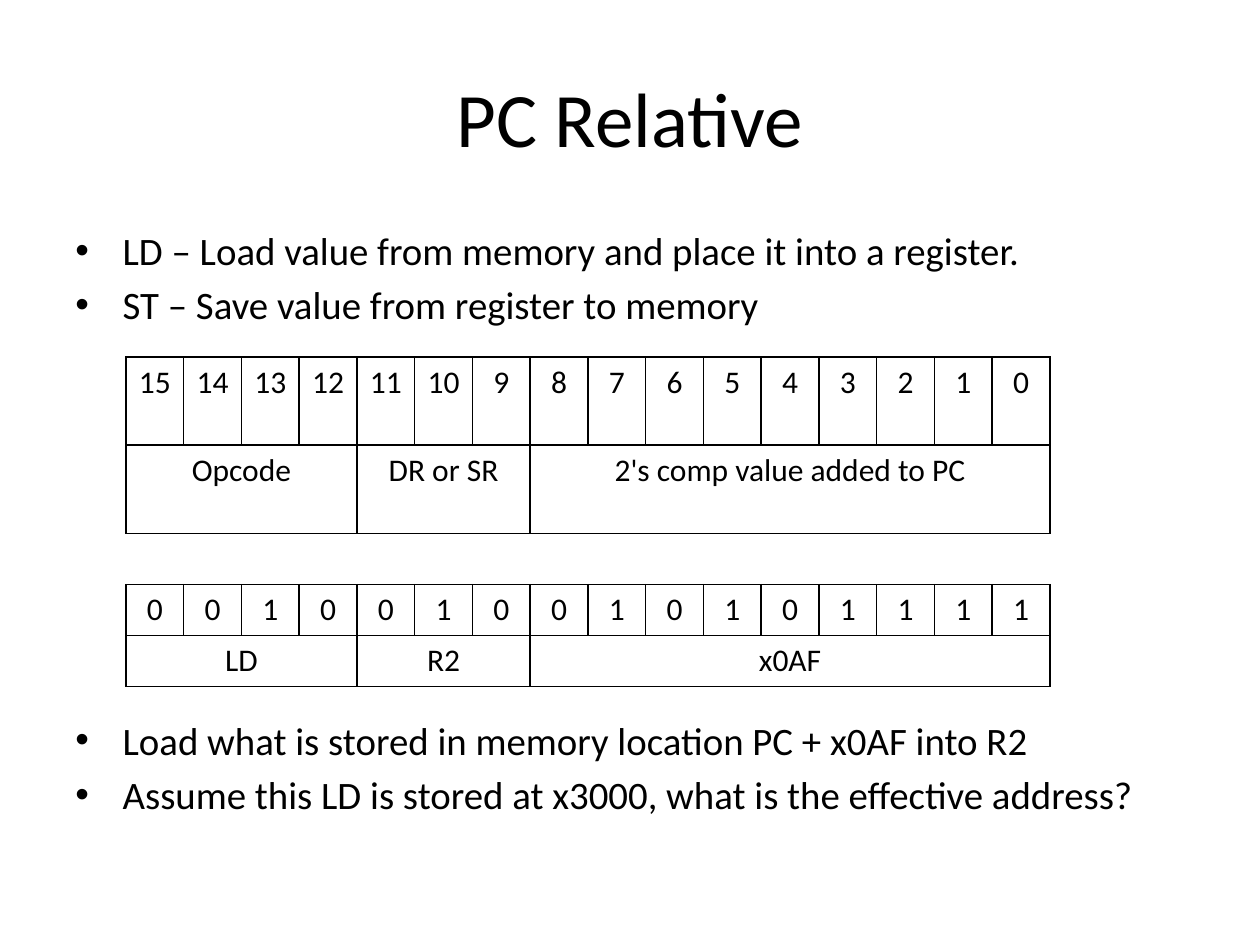
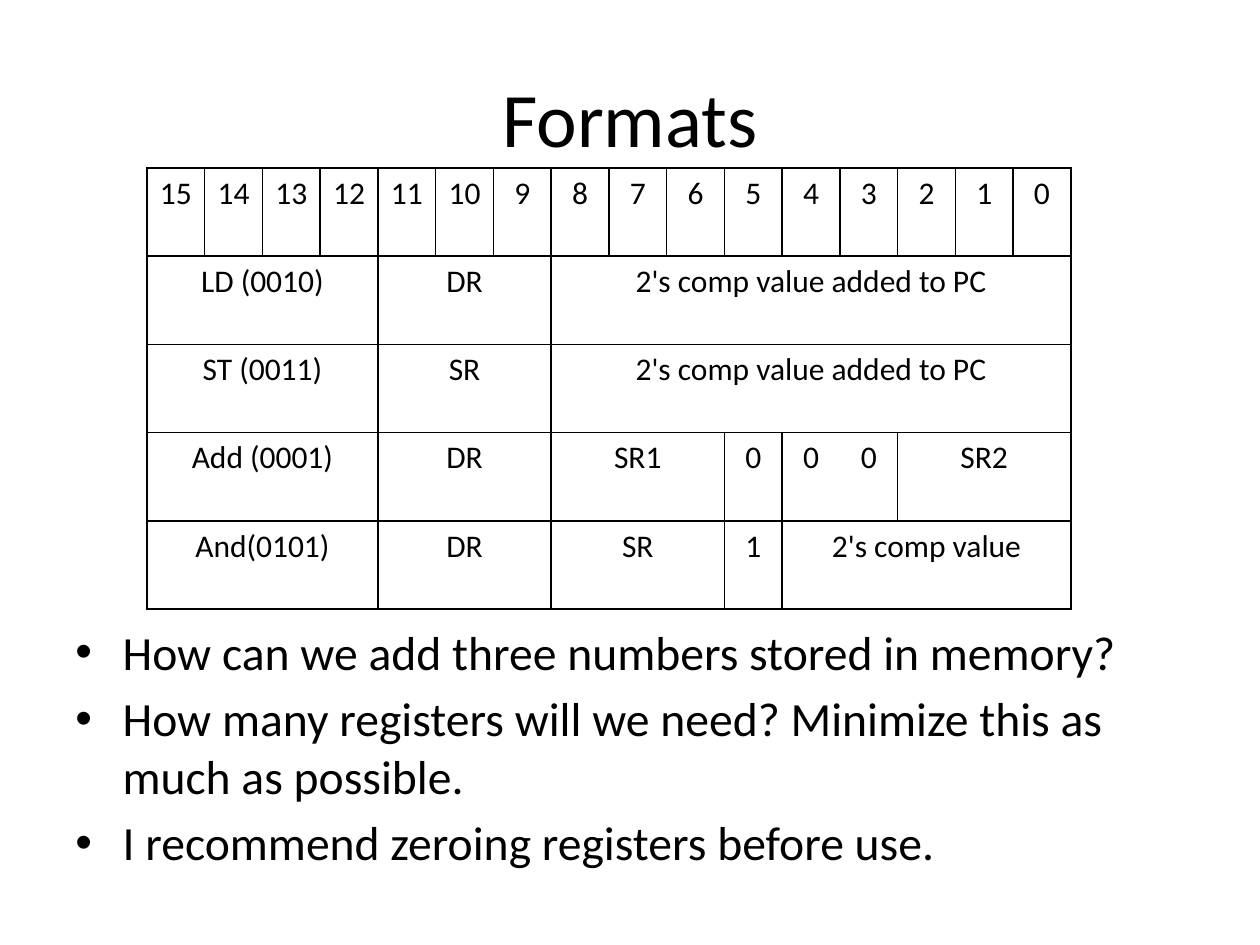
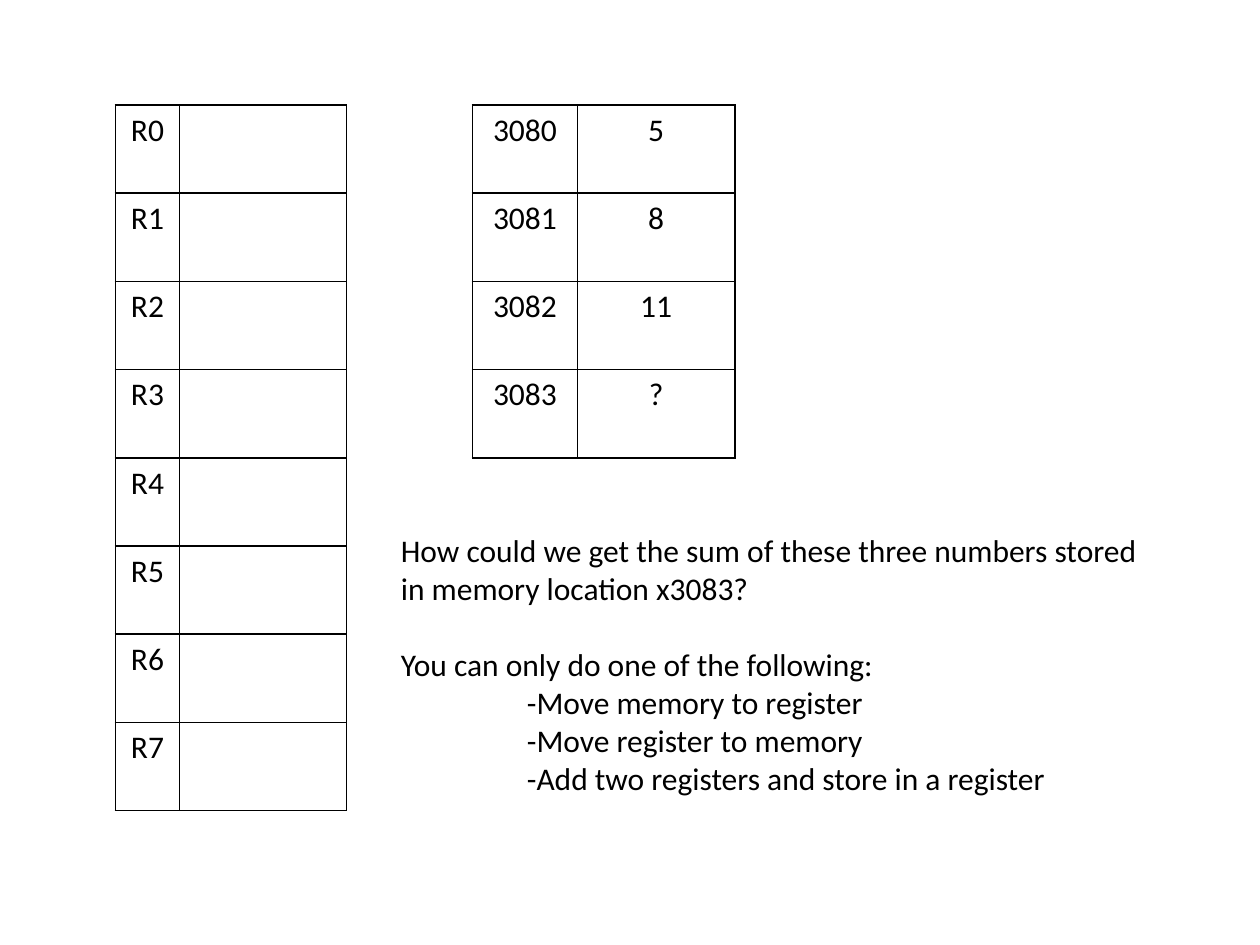
import dataclasses

import pptx
import pptx.dml.color
import pptx.enum.text
import pptx.oxml
import pptx.oxml.ns
import pptx.util

ALIGN = pptx.enum.text.PP_ALIGN
ANCHOR = pptx.enum.text.MSO_ANCHOR
qn = pptx.oxml.ns.qn


@dataclasses.dataclass(frozen=True)
class Theme:
    """Colours, type sizes (points) and table rules shared by the slides."""
    font: str = "Calibri"
    ink: str = "000000"
    title: float = 44
    load_points: float = 22.2
    question_points: float = 27.2
    text: float = 18
    point_gap: float = 0.2  # share of the type size
    rule: float = 1
    plain_table: str = "{2D5ABB26-0587-4C30-8999-92F81FD0307C}"


THEME = Theme()
COLUMNS, ROWS = 120, 90  # the slide grid: twelve units to the inch
UNIT = pptx.util.Inches(10) / COLUMNS
BITS = 16
BIT_WIDTH = 5.5
ROW = 8.4
LOW_ROW = 4.87
TITLE_BOX = (6, 3.6, 108, 15)
ALL_SIDES = "LRTB"


def units(count):
    """Turn grid units into a length."""
    return pptx.util.Emu(round(count * UNIT))


def add_run(paragraph, text, size):
    """Add one run in the theme's font and ink."""
    run = paragraph.add_run()
    run.text = text
    run.font.size = pptx.util.Pt(size)
    run.font.name = THEME.font
    run.font.color.rgb = pptx.dml.color.RGBColor.from_string(THEME.ink)


def add_text_frame(slide, box):
    """Place a wrapping text box and return its frame."""
    frame = slide.shapes.add_textbox(*map(units, box)).text_frame
    frame.word_wrap = True
    return frame


def add_paragraphs(frame, texts):
    """Yield a paragraph for each text, starting with the frame's own."""
    for number, text in enumerate(texts):
        yield (frame.add_paragraph() if number else frame.paragraphs[0]), text


def add_title(slide, title):
    """Centre the slide title in the shared title box."""
    frame = add_text_frame(slide, TITLE_BOX)
    frame.vertical_anchor = ANCHOR.MIDDLE
    frame.paragraphs[0].alignment = ALIGN.CENTER
    add_run(frame.paragraphs[0], title, THEME.title)


def indent(paragraph, left, first=0):
    """Set left and first-line indents in grid units."""
    properties = paragraph._p.get_or_add_pPr()
    properties.set("marL", str(units(left)))
    properties.set("indent", str(units(first)))
    return properties


def add_points(slide, box, points, size, drop=0.6, gaps=None):
    """List bulleted points; drop is the top inset, gaps the wider spacings."""
    frame = add_text_frame(slide, box)
    frame.margin_top = units(drop)
    for paragraph, point in add_paragraphs(frame, points):
        if point != points[0]:
            gap = (gaps or {}).get(point, THEME.point_gap * size)
            paragraph.space_before = pptx.util.Pt(gap)
        properties = indent(paragraph, 4.5, -4.5)
        font = properties.makeelement(qn("a:buFont"), {"typeface": "Arial"})
        bullet = properties.makeelement(qn("a:buChar"), {"char": "•"})
        properties.extend([font, bullet])
        add_run(paragraph, point, size)


def rule_cell(cell, sides):
    """Draw the given sides of a cell, clear the others and the fill."""
    properties = cell._tc.get_or_add_tcPr()
    ink = f'<a:solidFill><a:srgbClr val="{THEME.ink}"/></a:solidFill>'
    for side in ALL_SIDES:
        properties.append(pptx.oxml.parse_xml(
            f'<a:ln{side} {pptx.oxml.ns.nsdecls("a")} w="{pptx.util.Pt(THEME.rule)}">'
            f'{ink if side in sides else "<a:noFill/>"}</a:ln{side}>'))
    cell.fill.background()


def add_grid(slide, corner, widths, heights, rows):
    """Build a ruled table; each row lists (text, columns spanned, sides)."""
    frame = slide.shapes.add_table(
        len(heights), len(widths), *map(units, corner),
        units(sum(widths)), units(sum(heights)))
    table = frame.table
    table.first_row = table.horz_banding = False
    for style in frame.element.iter(qn("a:tableStyleId")):
        style.text = THEME.plain_table
    for column, width in zip(table.columns, widths):
        column.width = units(width)
    for row, height in zip(table.rows, heights):
        row.height = units(height)
    for row_number, parts in enumerate(rows):
        start = 0
        for text, span, sides in parts:
            cell = table.cell(row_number, start)
            last = start + span - 1
            if span > 1:
                cell.merge(table.cell(row_number, last))
            rule_cell(cell, sides)
            for covered in range(start + 1, last + 1):
                hidden = "L" if covered == last else "LR"
                rule_cell(table.cell(row_number, covered),
                          [side for side in sides if side not in hidden])
            paragraph = cell.text_frame.paragraphs[0]
            paragraph.alignment = ALIGN.CENTER
            if text:
                add_run(paragraph, text, THEME.text)
            else:
                paragraph.font.size = pptx.util.Pt(THEME.text)
            start = last + 1


def bits(values):
    """One fully ruled cell for each bit."""
    return [(str(value), 1, ALL_SIDES) for value in values]


def fields(*parts):
    """Fully ruled instruction fields from (text, bit count) pairs."""
    return [(text, count, ALL_SIDES) for text, count in parts]


def add_instruction_table(slide, corner, heights, rows):
    """Place a 16-bit instruction table headed by its bit numbers."""
    add_grid(slide, corner, [BIT_WIDTH] * BITS, heights,
             [bits(reversed(range(BITS)))] + rows)


def build_pc_relative(slide):
    """The load and store format with a worked encoding."""
    add_title(slide, "PC Relative")
    example = "Load what is stored in memory location PC + x0AF into R2"
    add_points(slide, (6, 21, 108, 61), [
        "LD – Load value from memory and place it into a register.",
        "ST – Save value from register to memory",
        example,
        "Assume this LD is stored at x3000, what is the effective address?",
    ], THEME.load_points, gaps={example: 222})
    add_instruction_table(slide, (12, 34), [ROW] * 2 + [LOW_ROW] * 3, [
        fields(("Opcode", 4), ("DR or SR", 3), ("2's comp value added to PC", 9)),
        [("", 1, "TB")] * BITS,
        bits("0010010010101111"),
        fields(("LD", 4), ("R2", 3), ("x0AF", 9)),
    ])


def build_formats(slide):
    """Four instruction formats and the questions about them."""
    add_title(slide, "Formats")
    add_points(slide, (6, 46, 108, 36.4), [
        "How can we add three numbers stored in memory?",
        "How many registers will we need? Minimize this as much as possible.",
        "I recommend zeroing registers before use.",
    ], THEME.question_points, drop=13.3)
    offset = ("2's comp value added to PC", 9)
    add_instruction_table(slide, (14, 16), [ROW] * 5, [
        fields(("LD (0010)", 4), ("DR", 3), offset),
        fields(("ST (0011)", 4), ("SR", 3), offset),
        fields(("Add (0001)", 4), ("DR", 3), ("SR1", 3), ("0", 1))
        + [("0", 1, "LTB"), ("0", 1, "RTB")] + fields(("SR2", 3)),
        fields(("And(0101)", 4), ("DR", 3), ("SR", 3), ("1", 1),
               ("2's comp value", 5)),
    ])


def add_machine_state(slide, corner):
    """Registers on the left, memory words on the right, in one table."""
    memory = [("3080", "5"), ("3081", "8"), ("3082", "11"), ("3083", "?")]
    rows = []
    for register in range(8):
        row = fields((f"R{register}", 1), ("", 1))
        if register < len(memory):
            address, value = memory[register]
            row += [("", 1, "LR")] + fields((address, 1), (value, 1))
            row += [("", 1, "L")]
        else:
            below = "T" if register == len(memory) else ""
            row += [("", 1, "L")] + [("", 1, below)] * 2 + [("", 1, "")]
        rows.append(row + [("", 1, "")] * 2)
    add_grid(slide, corner, [6.1, 15.9, 12, 10, 15, 11, 11, 14],
             [ROW] * len(rows), rows)


def add_task(slide, box):
    """The question and its allowed moves, indented by an inch."""
    frame = add_text_frame(slide, box)
    condition = "You can only do one of the following:"
    lines = [
        "How could we get the sum of these three numbers stored",
        "in memory location x3083?",
        condition,
        "-Move memory to register",
        "-Move register to memory",
        "-Add two registers and store in a register",
    ]
    for paragraph, line in add_paragraphs(frame, lines):
        if line == condition:
            paragraph.space_before = pptx.util.Pt(22)
        if line.startswith("-"):
            indent(paragraph, 12)
        add_run(paragraph, line, THEME.text)


def build_sum_exercise(slide):
    """The machine state and the summing task."""
    add_machine_state(slide, (11, 10))
    add_task(slide, (37, 50, 73.4, 26.6))


def main():
    """Build the three slides and save them."""
    deck = pptx.Presentation()
    deck.slide_width, deck.slide_height = units(COLUMNS), units(ROWS)
    blank = deck.slide_layouts[6]
    for build in (build_pc_relative, build_formats, build_sum_exercise):
        build(deck.slides.add_slide(blank))
    deck.save("out.pptx")


main()
